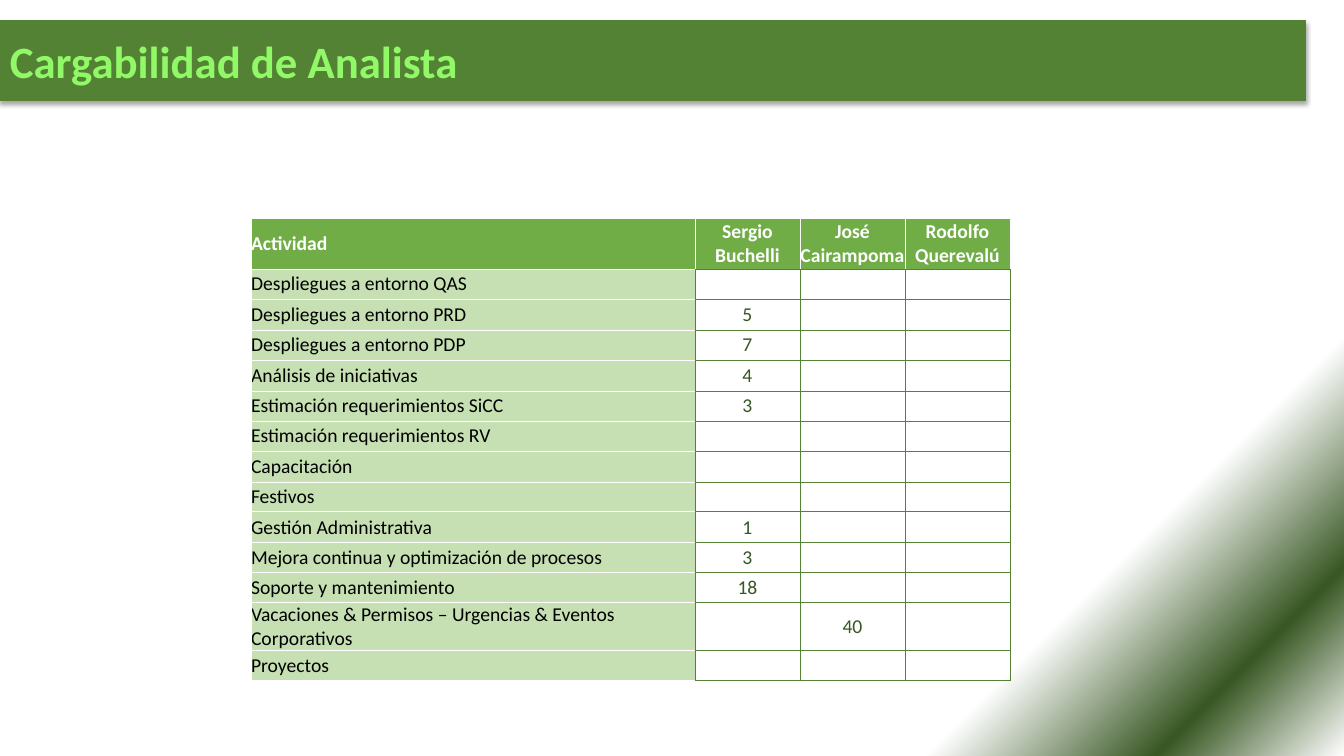
from pptx import Presentation
from pptx.dml.color import RGBColor
from pptx.enum.shapes import MSO_SHAPE
from pptx.enum.text import MSO_ANCHOR as ANCHOR, PP_ALIGN as ALIGN
from pptx.oxml import parse_xml
from pptx.oxml.ns import nsdecls
from pptx.util import Pt

PX = 9525 * 96 / 100.8
THEME = dict(font="Calibri", title_size=32, cell_size=14, white="FFFFFF", title="91F967",
             band="548235", header="70AD47", label="C6E0B4", label_text="000000",
             value="375623", glow="385723", shadow="000000")
ACTIVITIES = [
    ("Despliegues a entorno QAS", "", "", ""),
    ("Despliegues a entorno PRD", "5", "", ""),
    ("Despliegues a entorno PDP", "7", "", ""),
    ("Análisis de iniciativas", "4", "", ""),
    ("Estimación requerimientos SiCC", "3", "", ""),
    ("Estimación requerimientos RV", "", "", ""),
    ("Capacitación", "", "", ""),
    ("Festivos", "", "", ""),
    ("Gestión Administrativa", "1", "", ""),
    ("Mejora continua y optimización de procesos", "3", "", ""),
    ("Soporte y mantenimiento", "18", "", ""),
    ("Vacaciones & Permisos – Urgencias & Eventos Corporativos", "", "40", ""),
    ("Proyectos", "", "", ""),
]
HEADER = ("Actividad", "Sergio Buchelli", "José Cairampoma", "Rodolfo Querevalú")


def px(n):
    return round(n * PX)


def style(p, size, color, bold):
    p.font.name = THEME["font"]
    p.font.size = Pt(size)
    p.font.bold = bold
    p.font.color.rgb = RGBColor.from_string(THEME[color])


prs = Presentation()
prs.slide_width, prs.slide_height = px(1344), px(756)
s = prs.slides.add_slide(prs.slide_layouts[6])

stops = "".join(
    f'<a:gs pos="{pos * 1000}"><a:srgbClr val="{THEME[color]}"/></a:gs>'
    for pos, color in [(0, "white"), (9, "glow"), (20, "white")])
s._element.cSld.insert(0, parse_xml(
    f'<p:bg {nsdecls("p", "a")}><p:bgPr><a:gradFill rotWithShape="1"><a:gsLst>{stops}</a:gsLst>'
    f'<a:lin ang="{225 * 60000}" scaled="0"/></a:gradFill><a:effectLst/></p:bgPr></p:bg>'))

sp = s.shapes.add_shape(MSO_SHAPE.RECTANGLE, 0, px(21), px(1306), px(80))
sp.fill.solid()
sp.fill.fore_color.rgb = sp.line.color.rgb = RGBColor.from_string(THEME["band"])
sp.line.width = Pt(0.75)
sp._element.spPr.append(parse_xml(
    f'<a:effectLst {nsdecls("a")}><a:outerShdw blurRad="{Pt(3.1)}" dist="{Pt(1.8)}" dir="5400000">'
    f'<a:srgbClr val="{THEME["shadow"]}"><a:alpha val="35000"/></a:srgbClr>'
    '</a:outerShdw></a:effectLst>'))
tf = sp.text_frame
tf.word_wrap = True
tf.vertical_anchor = ANCHOR.MIDDLE
p = tf.paragraphs[0]
p.text = "Cargabilidad de Analista"
p.alignment = ALIGN.LEFT
style(p, THEME["title_size"], "title", True)

rows = [HEADER] + ACTIVITIES
table = s.shapes.add_table(len(rows), len(HEADER), px(251), px(218), px(759), px(463)).table
table.horz_banding = False
for column, width in zip(table.columns, (444, 105, 105, 105)):
    column.width = px(width)
for i, row in enumerate(table.rows):
    row.height = px(round(30.4 * i) - round(30.4 * (i - 1)) if i else 51)

for i, texts in enumerate(rows):
    for j, text in enumerate(texts):
        cell = table.cell(i, j)
        cell.margin_left = cell.margin_right = cell.margin_top = cell.margin_bottom = 0
        cell.vertical_anchor = ANCHOR.MIDDLE
        if i == 0:
            fill, color = "header", "white"
            borders = dict.fromkeys("LRTB", "white")
            if j:
                borders["B"] = "band"
        elif j == 0:
            fill, color = "label", "label_text"
            borders = dict(L="white", R="band", T="white", B="white")
        else:
            fill, color = None, "value"
            borders = dict.fromkeys("LRTB", "band")
        for side, line in borders.items():
            cell._tc.get_or_add_tcPr().append(parse_xml(
                f'<a:ln{side} {nsdecls("a")} w="{Pt(0.5)}"><a:solidFill>'
                f'<a:srgbClr val="{THEME[line]}"/></a:solidFill></a:ln{side}>'))
        if fill:
            cell.fill.solid()
            cell.fill.fore_color.rgb = RGBColor.from_string(THEME[fill])
        else:
            cell.fill.background()
        p = cell.text_frame.paragraphs[0]
        p.text = text
        p.alignment = ALIGN.CENTER if j else ALIGN.LEFT
        style(p, THEME["cell_size"], color, i == 0)

prs.save("out.pptx")
